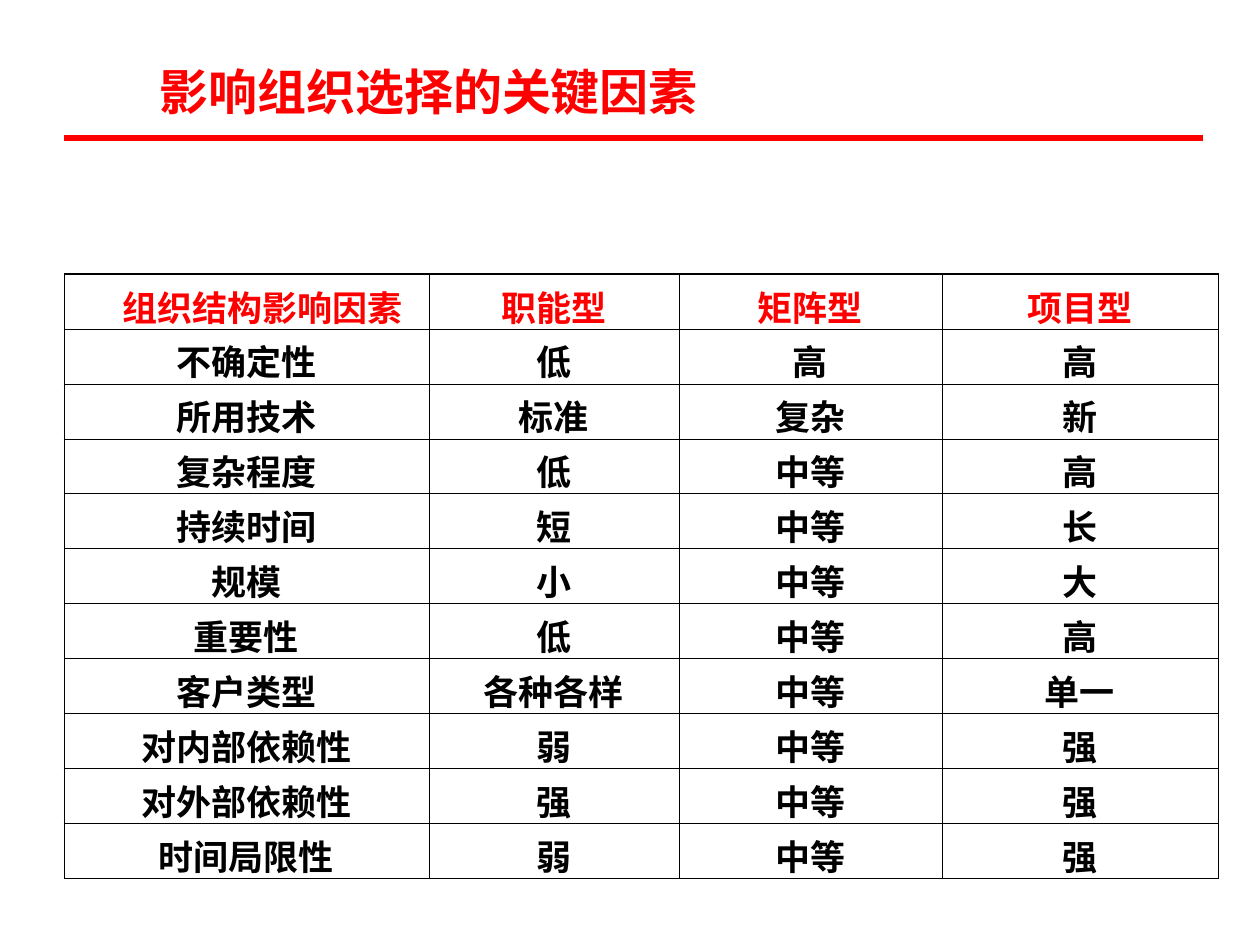
from lxml.etree import SubElement
from pptx import Presentation
from pptx.dml.color import RGBColor
from pptx.enum.shapes import MSO_CONNECTOR
from pptx.enum.text import MSO_ANCHOR, MSO_AUTO_SIZE, PP_ALIGN
from pptx.oxml.ns import qn
from pptx.util import Pt

TITLE = "影响组织选择的关键因素"
FACTORS = [
    ("组织结构影响因素", "职能型", "矩阵型", "项目型"),
    ("不确定性", "低", "高", "高"),
    ("所用技术", "标准", "复杂", "新"),
    ("复杂程度", "低", "中等", "高"),
    ("持续时间", "短", "中等", "长"),
    ("规模", "小", "中等", "大"),
    ("重要性", "低", "中等", "高"),
    ("客户类型", "各种各样", "中等", "单一"),
    ("对内部依赖性", "弱", "中等", "强"),
    ("对外部依赖性", "强", "中等", "强"),
    ("时间局限性", "弱", "中等", "强"),
]
RED, BLACK = "FF0000", "000000"
SCALE = 914400 // 126
TITLE_BOX = {"left": 84, "top": 55, "width": 858, "height": 72}
RULE = (64, 138, 1203, 138)
TABLE_LEFT, TABLE_TOP, ROW_HEIGHT = 64, 274, 55
COLUMNS = (365, 250, 263, 276)
TITLE_FONT = {"name": "Arial", "size": Pt(28), "bold": True}
CELL_FONT = {"name": "Times New Roman", "size": Pt(20), "bold": True}
THIN, INNER, OUTER = 0.34, 0.45, 0.96


def px(length):
    return length * SCALE


def color(value):
    return RGBColor.from_string(value)


def write(paragraph, words, font, ink, align, margin, indent):
    paragraph.text = words
    paragraph.alignment = align
    properties = paragraph._p.get_or_add_pPr()
    properties.set("marL", str(px(margin)))
    properties.set("indent", str(px(indent)))
    for key, value in font.items():
        setattr(paragraph.runs[0].font, key, value)
    paragraph.runs[0].font.color.rgb = color(ink)


def draw_borders(cell, widths):
    properties = cell._tc.get_or_add_tcPr()
    for position, (side, width) in enumerate(widths.items()):
        border = properties.makeelement(qn(f"a:ln{side}"), {"w": str(Pt(width))})
        fill = SubElement(border, qn("a:solidFill"))
        SubElement(fill, qn("a:srgbClr"), val=BLACK)
        properties.insert(position, border)


def add_title(slide):
    title = slide.shapes.title
    for key, value in TITLE_BOX.items():
        setattr(title, key, px(value))
    frame = title.text_frame
    frame.word_wrap = True
    frame.vertical_anchor = MSO_ANCHOR.TOP
    frame.auto_size = MSO_AUTO_SIZE.SHAPE_TO_FIT_TEXT
    write(frame.paragraphs[0], TITLE, TITLE_FONT, RED, PP_ALIGN.LEFT, 126, -63)


def add_rule(slide):
    rule = slide.shapes.add_connector(MSO_CONNECTOR.STRAIGHT, *map(px, RULE))
    rule.line.color.rgb = color(RED)
    rule.line.width = Pt(3)
    SubElement(rule._element.spPr, qn("a:effectLst"))


def add_factors(slide):
    last_row, last_column = len(FACTORS) - 1, len(COLUMNS) - 1
    table = slide.shapes.add_table(
        len(FACTORS), len(COLUMNS), px(TABLE_LEFT), px(TABLE_TOP),
        px(sum(COLUMNS)), px(ROW_HEIGHT * len(FACTORS))).table
    table.first_row = table.horz_banding = False
    for column, width in zip(table.columns, COLUMNS):
        column.width = px(width)
    for r, factor in enumerate(FACTORS):
        table.rows[r].height = px(ROW_HEIGHT)
        for c, words in enumerate(factor):
            cell = table.cell(r, c)
            cell.fill.background()
            indent = -16 if r == c == 0 else -48
            write(cell.text_frame.paragraphs[0], words, CELL_FONT,
                  BLACK if r else RED, PP_ALIGN.CENTER, 48, indent)
            draw_borders(cell, {
                "L": INNER if c else THIN,
                "R": INNER if c < last_column else THIN,
                "T": INNER if r else OUTER,
                "B": INNER if r < last_row else OUTER,
            })


def main():
    """Build the slide on the factors behind the choice of organisation."""
    deck = Presentation()
    deck.slide_width, deck.slide_height = px(1260), px(945)
    slide = deck.slides.add_slide(deck.slide_layouts[5])
    add_rule(slide)
    add_title(slide)
    add_factors(slide)
    deck.save("out.pptx")


if __name__ == "__main__":
    main()
